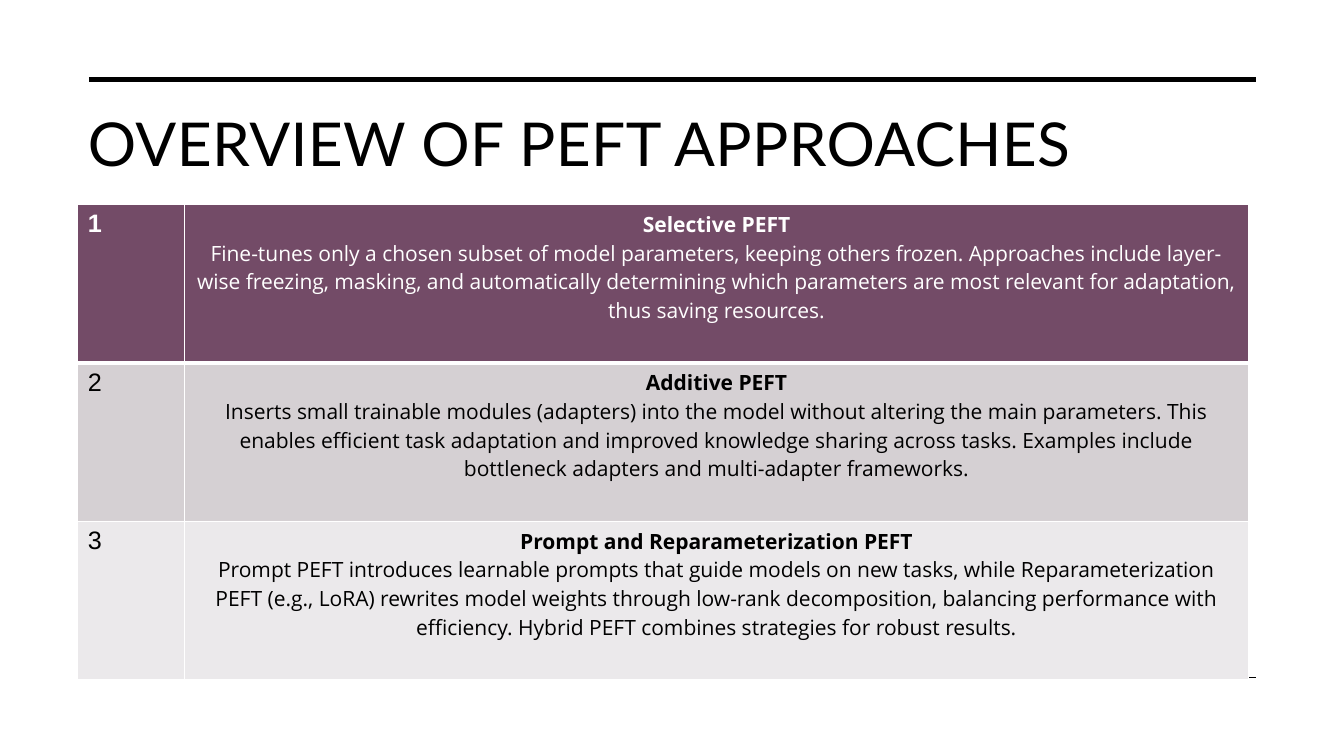
from lxml.etree import SubElement
from pptx import Presentation
from pptx.dml.color import RGBColor
from pptx.enum.shapes import MSO_CONNECTOR as Connector
from pptx.enum.text import MSO_ANCHOR as Anchor, MSO_AUTO_SIZE as AutoSize, PP_ALIGN as Align
from pptx.oxml import parse_xml
from pptx.oxml.ns import nsdecls, qn
from pptx.util import Cm, Pt

BLACK, WHITE = "000000", "FFFFFF"
RULE_LEFT, RULE_RIGHT = 2.24, 31.65
TABLE_LEFT, TABLE_TOP = 1.96, 5.16
COLUMN_WIDTHS = [2.69, 26.82]
ROW_HEIGHT = 3.99

# fill, text colour, number in bold, heading, description
APPROACHES = [
    ("734B67", WHITE, True, "Selective PEFT",
     "Fine-tunes only a chosen subset of model parameters, keeping others frozen. "
     "Approaches include layer-wise freezing, masking, and automatically determining "
     "which parameters are most relevant for adaptation, thus saving resources."),
    ("D5D0D3", BLACK, False, "Additive PEFT",
     "Inserts small trainable modules (adapters) into the model without altering the "
     "main parameters. This enables efficient task adaptation and improved knowledge "
     "sharing across tasks. Examples include bottleneck adapters and multi-adapter "
     "frameworks."),
    ("EBE9EB", BLACK, False, "Prompt and Reparameterization PEFT",
     "Prompt PEFT introduces learnable prompts that guide models on new tasks, while "
     "Reparameterization PEFT (e.g., LoRA) rewrites model weights through low-rank "
     "decomposition, balancing performance with efficiency. Hybrid PEFT combines "
     "strategies for robust results."),
]


def color(value):
    return RGBColor.from_string(value)


def write(para, text, *, size, font, ink=BLACK, bold=False, align=Align.LEFT, spacing=0):
    """Add formatted text; spacing is in points between letters."""
    para.alignment = align
    span = para.add_run()
    span.text = text
    span.font.size = Pt(size)
    span.font.name = font
    span.font.bold = bold
    span.font.color.rgb = color(ink)
    if spacing:
        span.font._element.set("spc", str(round(spacing * 100)))


def add_rule(page, top, width):
    rule = page.shapes.add_connector(
        Connector.STRAIGHT, Cm(RULE_LEFT), Cm(top), Cm(RULE_RIGHT), Cm(top))
    rule.line.color.rgb = color(BLACK)
    rule.line.width = Pt(width)
    SubElement(rule._element.spPr, qn("a:effectLst"))


def set_title(page, text):
    title = page.shapes.title
    title.left, title.top, title.width, title.height = Cm(1.96), Cm(2.54), Cm(29.69), Cm(2.6)
    frame = title.text_frame
    frame.word_wrap = True
    frame.auto_size = AutoSize.NONE
    frame.vertical_anchor = Anchor.TOP
    write(frame.paragraphs[0], text, size=43.2, font="Lato", spacing=0.3)


def set_borders(cell, top, bottom):
    """Draw white cell borders; top and bottom are widths in points."""
    properties = cell._tc.get_or_add_tcPr()
    sides = {"L": 1, "R": 1, "T": top, "B": bottom}
    for place, (side, width) in enumerate(sides.items()):
        properties.insert(place, parse_xml(
            f'<a:ln{side} {nsdecls("a")} w="{Pt(width)}"><a:solidFill>'
            f'<a:srgbClr val="{WHITE}"/></a:solidFill></a:ln{side}>'))


def add_approach_table(page):
    table = page.shapes.add_table(
        len(APPROACHES), len(COLUMN_WIDTHS), Cm(TABLE_LEFT), Cm(TABLE_TOP),
        Cm(sum(COLUMN_WIDTHS)), Cm(ROW_HEIGHT * len(APPROACHES))).table
    table.first_row = table.horz_banding = False
    for column, width in zip(table.columns, COLUMN_WIDTHS):
        column.width = Cm(width)

    for index, (fill, ink, bold, heading, description) in enumerate(APPROACHES):
        table.rows[index].height = Cm(ROW_HEIGHT)
        number, details = table.rows[index].cells
        for cell in (number, details):
            cell.fill.solid()
            cell.fill.fore_color.rgb = color(fill)
            set_borders(cell, top=3 if index == 1 else 1, bottom=3 if index == 0 else 1)
        write(number.text_frame.paragraphs[0], str(index + 1),
              size=18, font="Arial", ink=ink, bold=bold)
        frame = details.text_frame
        body = {"size": 15, "font": "Open Sans", "ink": ink, "align": Align.CENTER}
        write(frame.paragraphs[0], heading, bold=True, **body)
        write(frame.add_paragraph(), description, **body)


def main():
    deck = Presentation()
    deck.slide_width, deck.slide_height = Cm(33.87), Cm(19.05)
    page = deck.slides.add_slide(deck.slide_layouts.get_by_name("Title Only"))
    add_rule(page, top=2.01, width=3.5)
    add_rule(page, top=17.07, width=1)
    set_title(page, "OVERVIEW OF PEFT APPROACHES")
    add_approach_table(page)
    deck.save("out.pptx")


if __name__ == "__main__":
    main()
